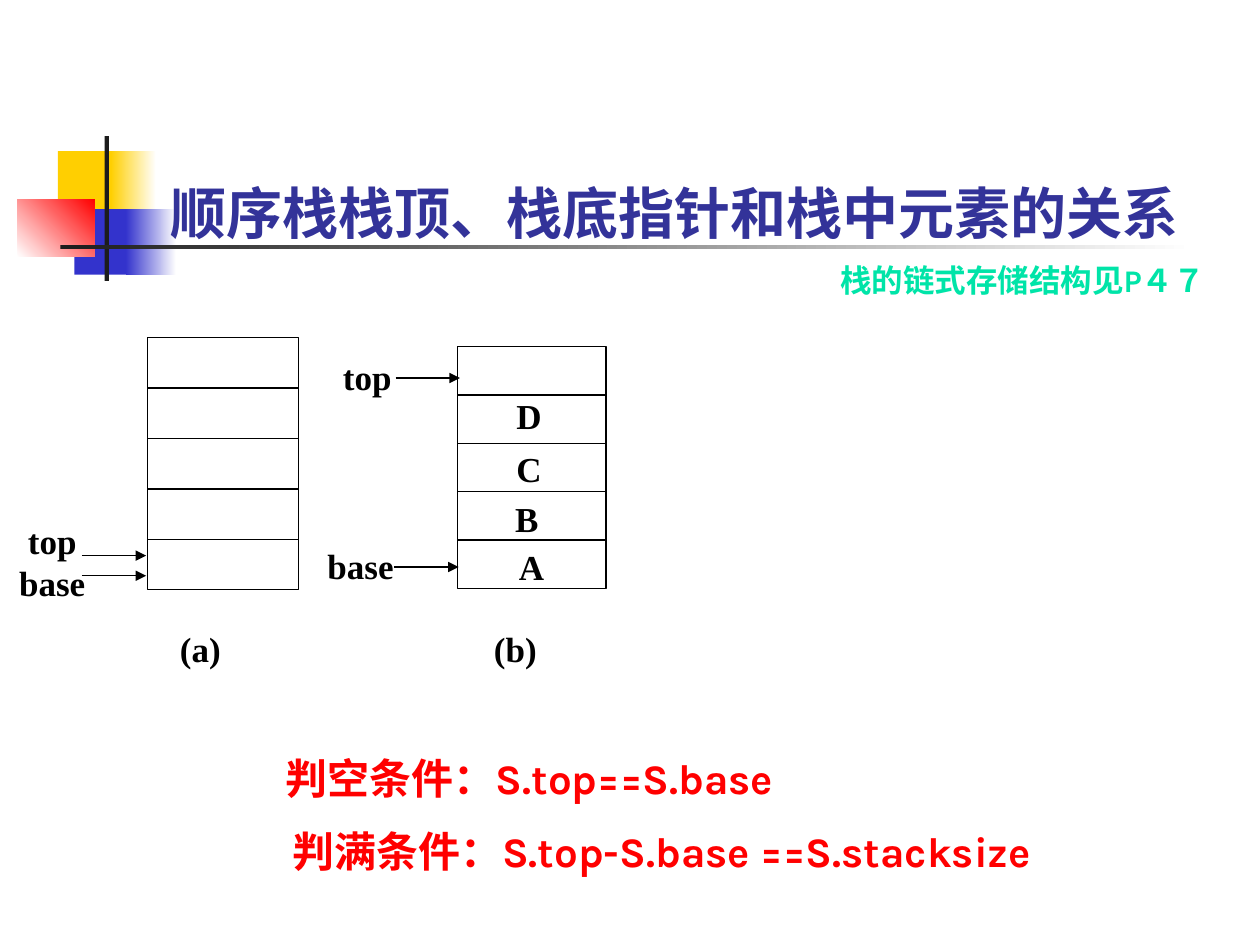
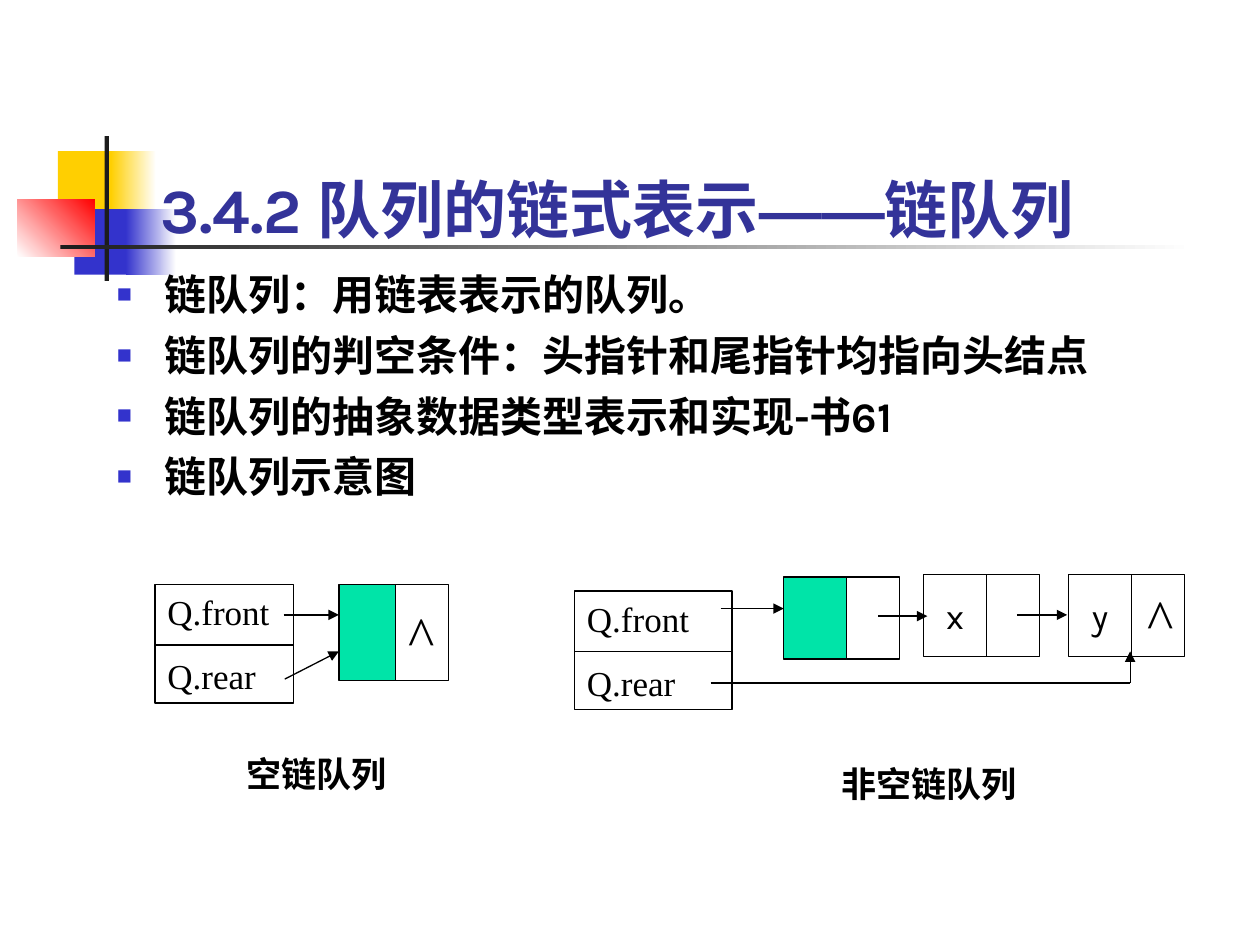
from lxml import etree
from pptx import Presentation, util as u
from pptx.dml.color import RGBColor
from pptx.enum import shapes, text
from pptx.oxml.ns import qn

COLS, ROWS = 100, 75
BLACK, WHITE, RED = "000000", "FFFFFF", "FF0000"
BLUE, NAVY, GOLD = "3333CC", "333399", "FFCF01"
MINT, COAL = "00E4A8", "1C1C1C"
SERIF, SANS, HAN = "Times New Roman", "Karla", "Noto Sans CJK SC"
MID = text.PP_ALIGN.CENTER
LEFT = text.PP_ALIGN.LEFT
FULL = text.PP_ALIGN.JUSTIFY


def color(code):
    return RGBColor.from_string(code)


def sub(parent, tag, **attrs):
    return etree.SubElement(parent, qn(tag), attrs)


class Deck:
    def __init__(self):
        self.prs = Presentation()
        self.prs.slide_width, self.prs.slide_height = u.Inches(10), u.Inches(7.5)
        self.plan = self.prs.slide_layouts[5]
        self.slide = None

    def x(self, cols):
        return round(self.prs.slide_width * cols / COLS)

    def y(self, rows):
        return round(self.prs.slide_height * rows / ROWS)

    def area(self, x, y, w, h):
        return self.x(x), self.y(y), self.x(w), self.y(h)

    def page(self):
        self.slide = self.prs.slides.add_slide(self.plan)

    def fill_in(self, frame, lines, size, name, ink=BLACK, bold=True,
                align=LEFT, wrap=True, gap=0, mark=None):
        frame.word_wrap = wrap
        frame.auto_size = text.MSO_AUTO_SIZE.NONE
        for i, line in enumerate(lines):
            para = frame.paragraphs[0] if i == 0 else frame.add_paragraph()
            para.alignment = align
            if mark:
                self.bullet(para, mark)
            if i:
                para.space_before = u.Pt(gap)
            font = para.font
            font.size, font.bold, font.name = u.Pt(size), bold, name
            font.color.rgb = color(ink)
            props = para._p.get_or_add_pPr().find(qn("a:defRPr"))
            sub(props, "a:ea", typeface=HAN)
            for part in [line] if isinstance(line, str) else line:
                run = para.add_run()
                if isinstance(part, str):
                    run.text = part
                else:
                    run.text, run.font.name = part
                    sub(run._r.get_or_add_rPr(), "a:ea", typeface=part[1])

    def bullet(self, para, ink):
        props = para._p.get_or_add_pPr()
        props.set("marL", str(self.x(3.75)))
        props.set("indent", str(-self.x(3.75)))
        sub(sub(props, "a:buClr"), "a:srgbClr", val=ink)
        sub(props, "a:buSzPct", val="60000")
        sub(props, "a:buFont", typeface="Arial")
        sub(props, "a:buChar", char="■")

    def title(self, line, size, name, *spot):
        head = self.slide.shapes.title
        head.left, head.top, head.width, head.height = self.area(*spot)
        head.text_frame.vertical_anchor = text.MSO_ANCHOR.BOTTOM
        self.fill_in(head.text_frame, [line], size, name, NAVY)

    def label(self, lines, spot, size=20, name=SERIF, **style):
        box = self.slide.shapes.add_textbox(*self.area(*spot))
        self.fill_in(box.text_frame, lines, size, name, **style)

    def rect(self, x, y, w, h, fill=None, edge=True):
        box = self.slide.shapes.add_shape(
            shapes.MSO_SHAPE.RECTANGLE, *self.area(x, y, w, h))
        box.shadow.inherit = False
        if fill:
            box.fill.solid()
            box.fill.fore_color.rgb = color(fill)
        else:
            box.fill.background()
        if edge:
            box.line.color.rgb = color(BLACK)
            box.line.width = u.Pt(0.75)
        else:
            box.line.fill.background()
        return box

    def fade(self, spot, start, end, angle=0):
        box = self.rect(*spot, edge=False)
        box.fill.gradient()
        box.fill.gradient_angle = angle
        for stop, ink in zip(box.fill.gradient_stops, (start, end)):
            stop.color.rgb = color(ink)
        return box

    def line(self, x1, y1, x2, y2, arrow=False):
        link = self.slide.shapes.add_connector(
            shapes.MSO_CONNECTOR.STRAIGHT,
            self.x(x1), self.y(y1), self.x(x2), self.y(y2))
        link.line.color.rgb = color(BLACK)
        link.line.width = u.Pt(0.75)
        props = link.element.spPr
        if arrow:
            sub(props.find(qn("a:ln")), "a:tailEnd", type="triangle")
        sub(props, "a:effectLst")

    def arrow(self, *ends):
        self.line(*ends, arrow=True)

    def stack(self, x, y, w, h, cells=5):
        self.rect(x, y, w, h, WHITE)
        for i in range(1, cells):
            level = y + h * i / cells
            self.line(x, level, x + w, level)

    def queue(self, x, y, w):
        box = self.rect(x, y, w, 9.4)
        box.text_frame.vertical_anchor = text.MSO_ANCHOR.TOP
        self.fill_in(box.text_frame, ["Q.front", "Q.rear"], 20, SERIF,
                     bold=False, gap=12.5)
        self.line(x, y + 4.8, x + w, y + 4.8)

    def node(self, x, y, w, h, fill=None, data=None):
        box = self.rect(x, y, w, h, fill)
        self.rect(x + w, y, 4.2, h)
        if data:
            box.text_frame.vertical_anchor = text.MSO_ANCHOR.MIDDLE
            self.fill_in(box.text_frame, [data], 20, SANS, bold=False,
                         align=MID, wrap=False)

    def motif(self):
        parts = [
            self.rect(4.6, 12, 4.8, 5.2, GOLD, False),
            self.fade((8.8, 12, 3.6, 5.2), GOLD, WHITE),
            self.rect(5.9, 16.6, 4.6, 5.2, BLUE, False),
            self.fade((10, 16.6, 4, 5.2), BLUE, WHITE),
            self.fade((1.4, 15.8, 6.1, 4.6), WHITE, RED, 45),
            self.rect(8.3, 10.8, 0.35, 11.5, COAL, False),
            self.fade((4.8, 19.45, 90, 0.35), COAL, WHITE),
        ]
        for part in parts:
            self.plan.shapes.element.append(part.element)


def stacks(deck):
    deck.title("顺序栈栈顶、栈底指针和栈中元素的关系", 32, HAN,
               12.5, 12.5, 85, 7.5)
    deck.stack(11.7, 26.8, 12, 20)
    for level in (44.1, 45.7):
        deck.arrow(6.5, level, 11.6, level)
    deck.label(["top", "base"], (0, 40.7, 8.3, 4.8), align=MID)

    deck.stack(36.3, 27.5, 11.8, 19.2)
    deck.arrow(31.4, 30, 36.5, 30)
    deck.arrow(31.3, 45, 36.4, 45)
    deck.label(["top"], (25, 27.7, 8.3, 2.3), align=MID)
    deck.label(["base"], (25, 42.7, 7.2, 4.4), wrap=False)
    for item, x, y in (("A", 40.2, 42.8), ("B", 39.9, 39),
                       ("C", 40, 35), ("D", 40, 30.8)):
        deck.label([item], (x, y, 4.5, 4.4))
    for name, x in (("(a)", 12.5), ("(b)", 37.5)):
        deck.label([name], (x, 49.3, 6.8, 4), align=MID)

    for rule, x, y, w in (
            ("判空条件：S.top==S.base", 21.7, 59.2, 42.2),
            ("判满条件：S.top-S.base ==S.stacksize", 22.2, 65, 62.1)):
        deck.label([rule], (x, y, w, 5), 24, SANS, ink=RED, wrap=False)
    deck.label(["栈的链式存储结构见P４７"], (65.7, 20.2, 31.7, 7), 18, SANS,
               ink=MINT)


def queues(deck):
    deck.title(["3.4.2 队列的链式表示", ("——", "Arial"), "链队列"], 36, SANS,
               11.7, 14.1, 85, 5.9)
    deck.label(["链队列：用链表表示的队列。",
                "链队列的判空条件：头指针和尾指针均指向头结点",
                "链队列的抽象数据类型表示和实现-书61",
                "链队列示意图"],
               (8.3, 20.8, 92.5, 20), 24, SANS, align=FULL, gap=6, mark=BLUE)

    deck.queue(12.3, 46.4, 11)
    deck.node(26.9, 46.4, 4.5, 7.6, MINT)
    deck.arrow(22.5, 48.8, 26.9, 48.8)
    deck.arrow(22.6, 53.9, 26.9, 51.7)

    deck.queue(45.6, 46.9, 12.5)
    deck.node(62.2, 45.8, 5, 6.5, MINT)
    deck.node(73.3, 45.6, 5, 6.5, data="x")
    deck.node(84.8, 45.6, 5, 6.5, data="y")
    deck.arrow(57.2, 48.3, 62.2, 48.3)
    deck.arrow(69.7, 48.9, 73.6, 48.9)
    deck.arrow(80.7, 48.8, 84.7, 48.8)
    deck.line(56.4, 54.2, 89.7, 54.2)
    deck.arrow(89.7, 54.2, 89.7, 51.7)

    for x, y in ((31.4, 47.2), (90.1, 45.8)):
        deck.label(["^"], (x, y, 4.2, 6.4), 32, bold=False, wrap=False)
    for name, x, y, w in (("空链队列", 18.6, 59.2, 13.1),
                          ("非空链队列", 65.8, 60, 15.9)):
        deck.label([name], (x, y, w, 4.4), name=HAN, wrap=False)


def main():
    deck = Deck()
    deck.page()
    deck.motif()
    stacks(deck)
    deck.page()
    queues(deck)
    deck.prs.save("out.pptx")


if __name__ == "__main__":
    main()
